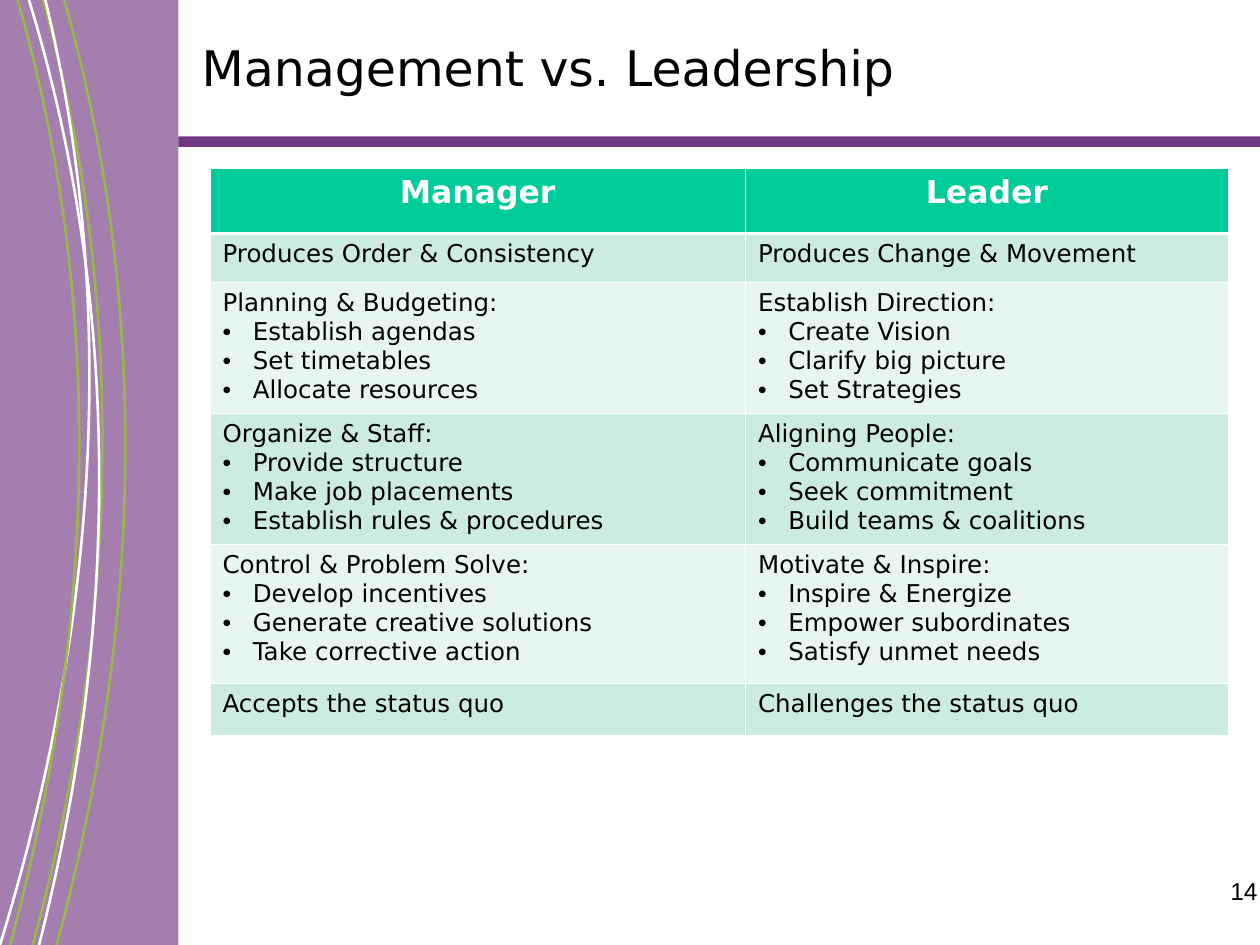
"""Builds a slide that compares managers and leaders in a table."""
from lxml import etree
from pptx import Presentation
from pptx import util as u
from pptx.dml.color import RGBColor
from pptx.enum import shapes, text
from pptx.oxml.ns import qn

PLUM = RGBColor(0x72, 0x39, 0x83)
LIME = RGBColor(0x99, 0xB6, 0x4C)
WHITE = RGBColor(0xFF, 0xFF, 0xFF)
SNOW = RGBColor(0xFF, 0xFF, 0xFE)
BLACK = RGBColor(0, 0, 0)
TEAL = RGBColor(0x00, 0xCC, 0x99)
MINT = RGBColor(0xCB, 0xEC, 0xDE)
PALE = RGBColor(0xE7, 0xF6, 0xEF)
SANS = "DejaVu Sans"

WIDE, HIGH = 10, 7.5
UNIT = WIDE / 120
EDGE = 17 * UNIT
TITLE, PAGE = "Management vs. Leadership", "14"
ROWS = [
    (["Manager"], ["Leader"]),
    (["Produces Order & Consistency"], ["Produces Change & Movement"]),
    (["Planning & Budgeting:", "Establish agendas", "Set timetables", "Allocate resources"],
     ["Establish Direction:", "Create Vision", "Clarify big picture", "Set Strategies"]),
    (["Organize & Staff:", "Provide structure", "Make job placements", "Establish rules & procedures"],
     ["Aligning People:", "Communicate goals", "Seek commitment", "Build teams & coalitions"]),
    (["Control & Problem Solve:", "Develop incentives", "Generate creative solutions", "Take corrective action"],
     ["Motivate & Inspire:", "Inspire & Energize", "Empower subordinates", "Satisfy unmet needs"]),
    (["Accepts the status quo"], ["Challenges the status quo"]),
]
COLS = [51 * UNIT, 46 * UNIT]
TALL = [0.52, 0.39, 1.04, 1.04, 1.1, 0.41]
BENDS = [0, 2.88, 5.59, HIGH]
ARCS = [
    (LIME, [0.34, 1.15, 0.78, 0.26]),
    (LIME, [0.51, 1.33, 0.97, 0.45]),
    (SNOW, [0.23, 1.11, 0.8, 0.31]),
    (SNOW, [0.36, 1.06, 0.59, 0]),
    (LIME, [0.14, 0.97, 0.6, 0.08]),
]


def style(para, size, color, font=SANS, bold=False):
    for run in para.runs:
        run.font.size, run.font.name, run.font.bold = u.Pt(size), font, bold
        run.font.color.rgb = color


def block(slide, left, top, width, height):
    box = slide.shapes.add_shape(shapes.MSO_SHAPE.RECTANGLE, *map(u.Inches, (left, top, width, height)))
    box.shadow.inherit = False
    box.fill.solid()
    box.fill.fore_color.rgb = PLUM
    box.line.fill.background()
    return box


def arc(slide, color, xs):
    dots = [(u.Inches(x), u.Inches(y)) for x, y in zip(xs, BENDS)]
    pen = slide.shapes.build_freeform(*dots[0])
    pen.add_line_segments(dots[1:], close=False)
    curve = pen.convert_to_shape()
    route = curve._element.spPr.find(".//" + qn("a:path"))
    bend = etree.SubElement(route, qn("a:cubicBezTo"))
    for leg in route.findall(qn("a:lnTo")):
        bend.append(leg[0])
        route.remove(leg)
    curve.shadow.inherit = False
    curve.fill.background()
    curve.line.color.rgb, curve.line.width = color, u.Pt(1.5)


def border(cell, row):
    props = cell._tc.get_or_add_tcPr()
    thick = {0: "lnB", 1: "lnT"}.get(row)
    for side in ("lnL", "lnR", "lnT", "lnB"):
        width = u.Pt(1.47 if side == thick else 0.45)
        line = etree.SubElement(props, qn("a:" + side), w=str(width))
        fill = etree.SubElement(line, qn("a:solidFill"))
        etree.SubElement(fill, qn("a:srgbClr"), val=str(WHITE))


def bullet(para):
    props = para._p.get_or_add_pPr()
    props.set("marL", str(u.Inches(0.24)))
    props.set("indent", str(-u.Inches(0.24)))
    tint = etree.SubElement(props, qn("a:buClr"))
    etree.SubElement(tint, qn("a:srgbClr"), val=str(BLACK))
    etree.SubElement(props, qn("a:buFont"), typeface="Arial")
    etree.SubElement(props, qn("a:buChar"), char="•")


def fill_cell(cell, row, lines):
    border(cell, row)
    cell.fill.solid()
    cell.fill.fore_color.rgb = TEAL if row == 0 else MINT if row % 2 else PALE
    cell.text_frame.text = "\n".join(lines)
    for i, para in enumerate(cell.text_frame.paragraphs):
        if i:
            bullet(para)
        if row:
            style(para, 14, BLACK)
        else:
            para.alignment = text.PP_ALIGN.CENTER
            style(para, 18, WHITE, bold=True)


def main():
    deck = Presentation()
    deck.slide_width, deck.slide_height = u.Inches(WIDE), u.Inches(HIGH)
    slide = deck.slides.add_slide(deck.slide_layouts[5])

    block(slide, EDGE, 13 * UNIT, WIDE - EDGE, UNIT)
    panel = block(slide, 0, 0, EDGE, HIGH)
    tint = panel._element.spPr.find(qn("a:solidFill"))[0]
    etree.SubElement(tint, qn("a:alpha"), val="65000")
    for color, xs in ARCS:
        arc(slide, color, xs)

    title = slide.shapes.title
    title.left, title.top, title.width, title.height = map(u.Inches, (1.5, 0.03, 8.5, 1))
    title.text_frame.text = TITLE
    title.text_frame.vertical_anchor = text.MSO_ANCHOR.MIDDLE
    head = title.text_frame.paragraphs[0]
    head.alignment = text.PP_ALIGN.LEFT
    style(head, 28, BLACK)

    foot = slide.shapes.add_textbox(*map(u.Inches, (7.75, 6.9, 2.33, 0.52))).text_frame
    foot.word_wrap = True
    foot.text = PAGE
    foot.paragraphs[0].alignment = text.PP_ALIGN.RIGHT
    style(foot.paragraphs[0], 14, BLACK, "Arial")

    size = map(u.Inches, (20 * UNIT, 16 * UNIT, sum(COLS), sum(TALL)))
    table = slide.shapes.add_table(len(ROWS), len(COLS), *size).table
    for col, width in zip(table.columns, COLS):
        col.width = u.Inches(width)
    for r, (cells, height) in enumerate(zip(ROWS, TALL)):
        table.rows[r].height = u.Inches(height)
        for c, lines in enumerate(cells):
            fill_cell(table.cell(r, c), r, lines)
    deck.save("out.pptx")


if __name__ == "__main__":
    main()
